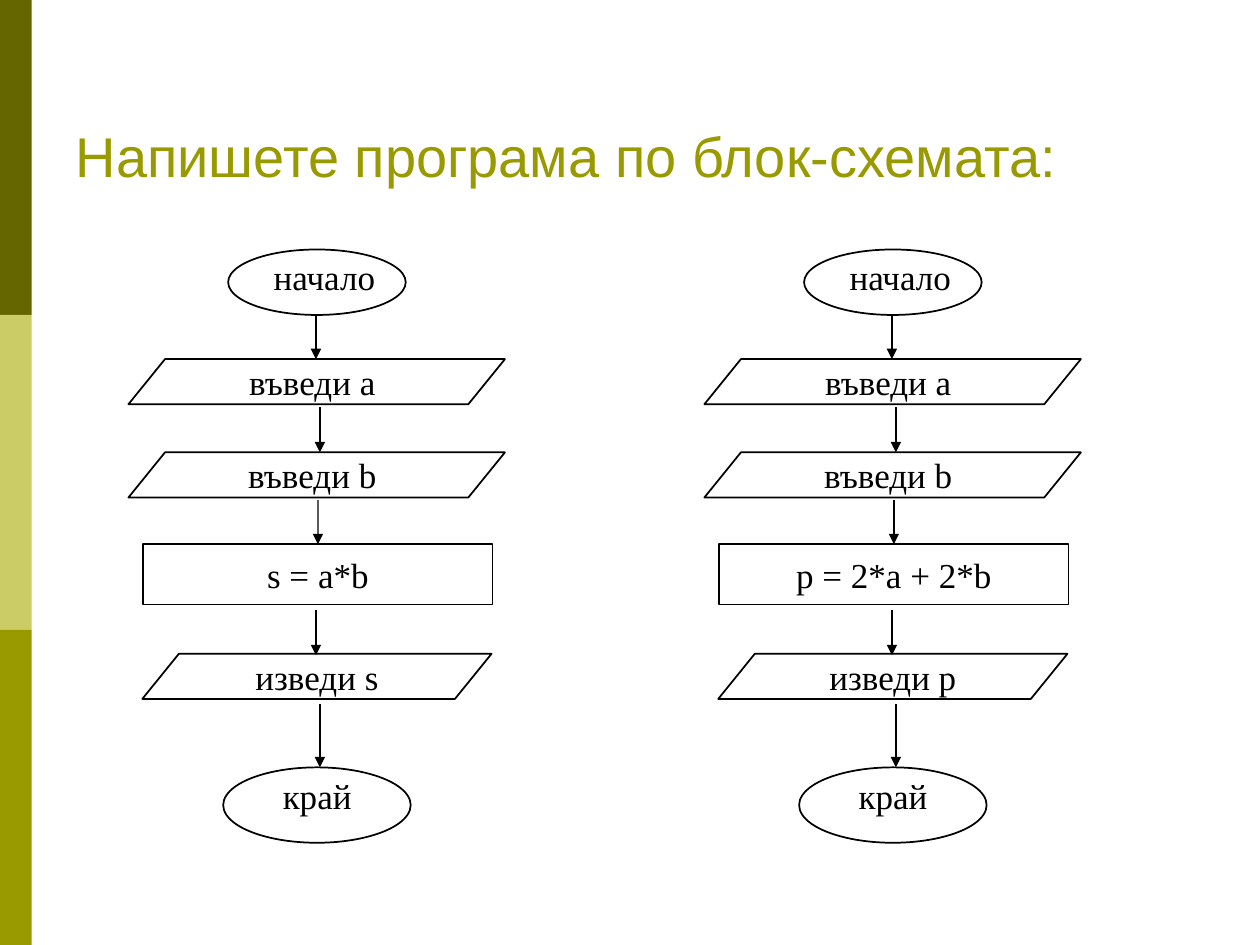
from dataclasses import dataclass

from lxml import etree
from pptx import Presentation
from pptx import util as u
from pptx.dml.color import RGBColor
from pptx.enum import shapes, text
from pptx.oxml import ns


@dataclass(frozen=True)
class Theme:
    """Colours, fonts and type sizes."""
    bars: tuple = ("666600", "CCCC66", "999900")
    title: str = "999900"
    ink: str = "000000"
    title_font: str = "Arial"
    body_font: str = "Times New Roman"
    title_size: int = 32
    body_size: int = 20
    outline: float = 1
    arrow: float = 0.75


THEME = Theme()
KIND = shapes.MSO_SHAPE


def rgb(value):
    """Turn a hex string into a colour."""
    return RGBColor.from_string(value)


def write(tf, words, font, size, colour, align, anchor):
    """Set one formatted paragraph in a text frame."""
    tf.text = words
    tf.vertical_anchor = anchor
    p = tf.paragraphs[0]
    p.alignment = align
    r = p.runs[0]
    r.font.name = font
    r.font.size = u.Pt(size)
    r.font.color.rgb = rgb(colour)


def label(tf, words, anchor):
    """Write a centred flowchart label."""
    write(tf, words, THEME.body_font, THEME.body_size, THEME.ink,
          text.PP_ALIGN.CENTER, anchor)


def add_node(s, kind, left, top, width, height, words=None):
    """Add an outlined flowchart symbol."""
    sp = s.shapes.add_shape(kind, u.Cm(left), u.Cm(top), u.Cm(width), u.Cm(height))
    sp.shadow.inherit = False
    sp.fill.background()
    sp.line.color.rgb = rgb(THEME.ink)
    sp.line.width = u.Pt(THEME.outline)
    if kind == KIND.PARALLELOGRAM:
        sp.adjustments[0] = 0.81
    if words:
        label(sp.text_frame, words, text.MSO_ANCHOR.MIDDLE)
        sp.text_frame.word_wrap = False
    return sp


def add_caption(s, left, top, width, words):
    """Add the text that lies over a terminal."""
    tf = s.shapes.add_textbox(u.Cm(left), u.Cm(top), u.Cm(width), u.Cm(1.12)).text_frame
    tf.word_wrap = True
    label(tf, words, text.MSO_ANCHOR.TOP)


def add_arrow(s, x, start, end):
    """Add a downward arrow."""
    c = s.shapes.add_connector(shapes.MSO_CONNECTOR.STRAIGHT,
                               u.Cm(x), u.Cm(start), u.Cm(x), u.Cm(end))
    c.line.color.rgb = rgb(THEME.ink)
    c.line.width = u.Pt(THEME.arrow)
    etree.SubElement(c.line._get_or_add_ln(), ns.qn("a:tailEnd"), type="triangle")
    etree.SubElement(c._element.spPr, ns.qn("a:effectLst"))
    return c


def add_flowchart(s, left, top, formula, result):
    """Draw a flowchart from its top left corner."""
    add_node(s, KIND.OVAL, left + 2.01, top, 3.58, 1.32)
    add_caption(s, left + 2.21, top, 3.48, "начало")
    for row, name in enumerate("ab"):
        add_node(s, KIND.PARALLELOGRAM, left, top + 2.21 + 1.88 * row, 7.59, 0.91,
                 f"въведи {name} ")
    process = add_node(s, KIND.RECTANGLE, left + 0.3, top + 5.94, 7.04, 1.22, formula)
    add_node(s, KIND.PARALLELOGRAM, left + 0.28, top + 8.15, 7.04, 0.91,
             f"изведи {result}")
    add_node(s, KIND.OVAL, left + 1.91, top + 10.44, 3.78, 1.52)
    add_caption(s, left + 2.08, top + 10.46, 3.45, "край")

    for x, start, end in ((3.78, 1.35, 2.21), (3.86, 3.18, 4.09),
                          (3.78, 7.26, 8.18), (3.86, 9.17, 10.44)):
        add_arrow(s, left + x, top + start, top + end)
    add_arrow(s, left + 3.82, top + 5.05, top + 5.94).end_connect(process, 0)


def add_sidebar(s, left, top, width, height):
    """Stack equal colour bars in a box."""
    step = height / len(THEME.bars)
    for i, colour in enumerate(THEME.bars):
        sp = s.shapes.add_shape(KIND.RECTANGLE, u.Cm(left), u.Cm(top + i * step),
                                u.Cm(width), u.Cm(step))
        sp.shadow.inherit = False
        sp.fill.solid()
        sp.fill.fore_color.rgb = rgb(colour)
        sp.line.fill.background()


def set_title(s, left, top, width, height, words):
    """Place and format the title placeholder."""
    sp = s.shapes.title
    sp.left, sp.top, sp.width, sp.height = map(u.Cm, (left, top, width, height))
    write(sp.text_frame, words, THEME.title_font, THEME.title_size, THEME.title,
          text.PP_ALIGN.LEFT, text.MSO_ANCHOR.BOTTOM)
    sp.text_frame.auto_size = text.MSO_AUTO_SIZE.NONE


def main():
    """Build and save the slide."""
    prs = Presentation()
    prs.slide_width, prs.slide_height = u.Cm(25.4), u.Cm(19.05)
    s = prs.slides.add_slide(prs.slide_layouts[5])
    add_sidebar(s, 0, 0, 0.64, 19.05)
    set_title(s, 1.27, 0, 23.24, 3.94, "Напишете програма по блок-схемата:")
    add_flowchart(s, 2.59, 5.03, "s = a*b", "s")
    add_flowchart(s, 14.2, 5.03, "p = 2*a + 2*b", "p")
    prs.save("out.pptx")


if __name__ == "__main__":
    main()
